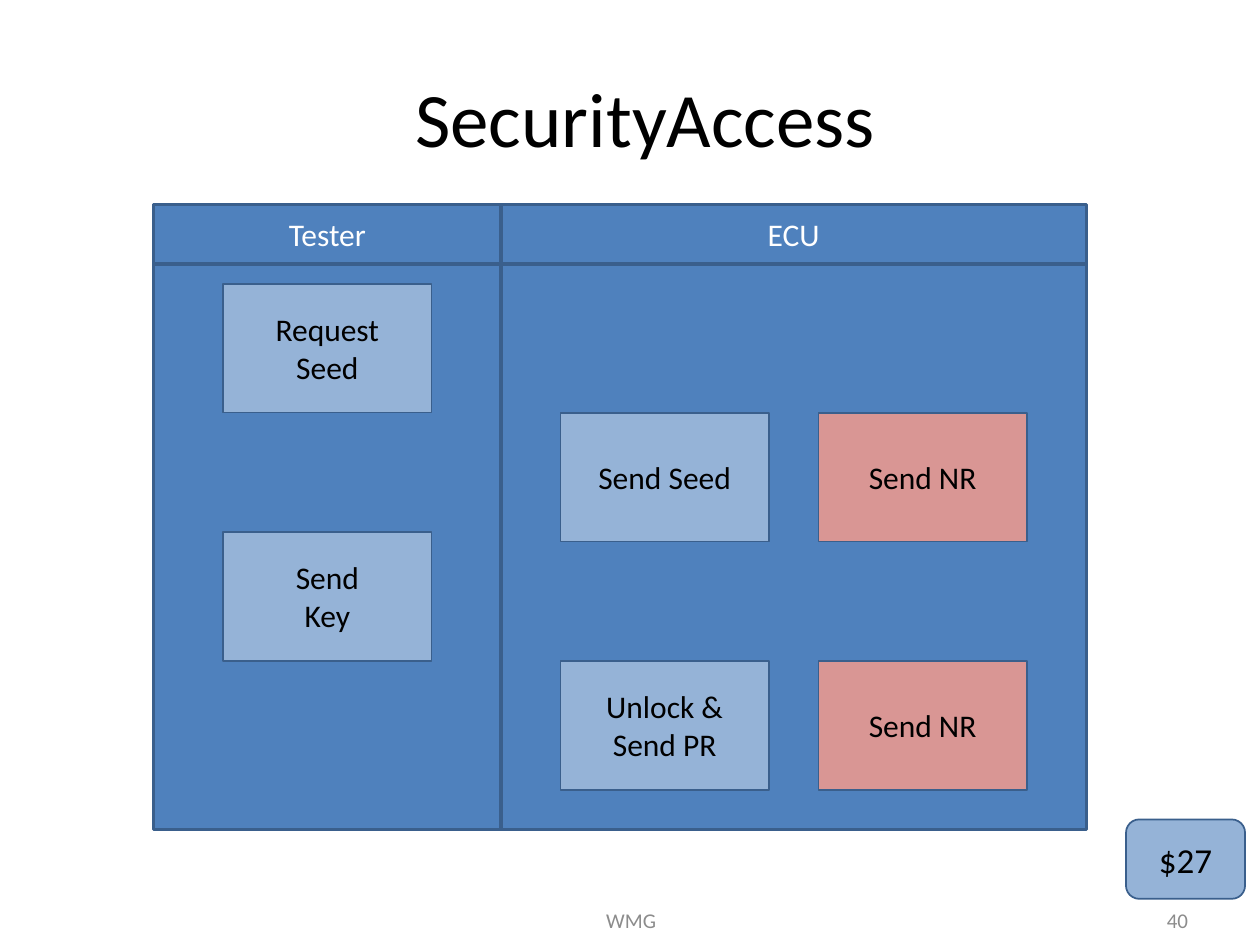
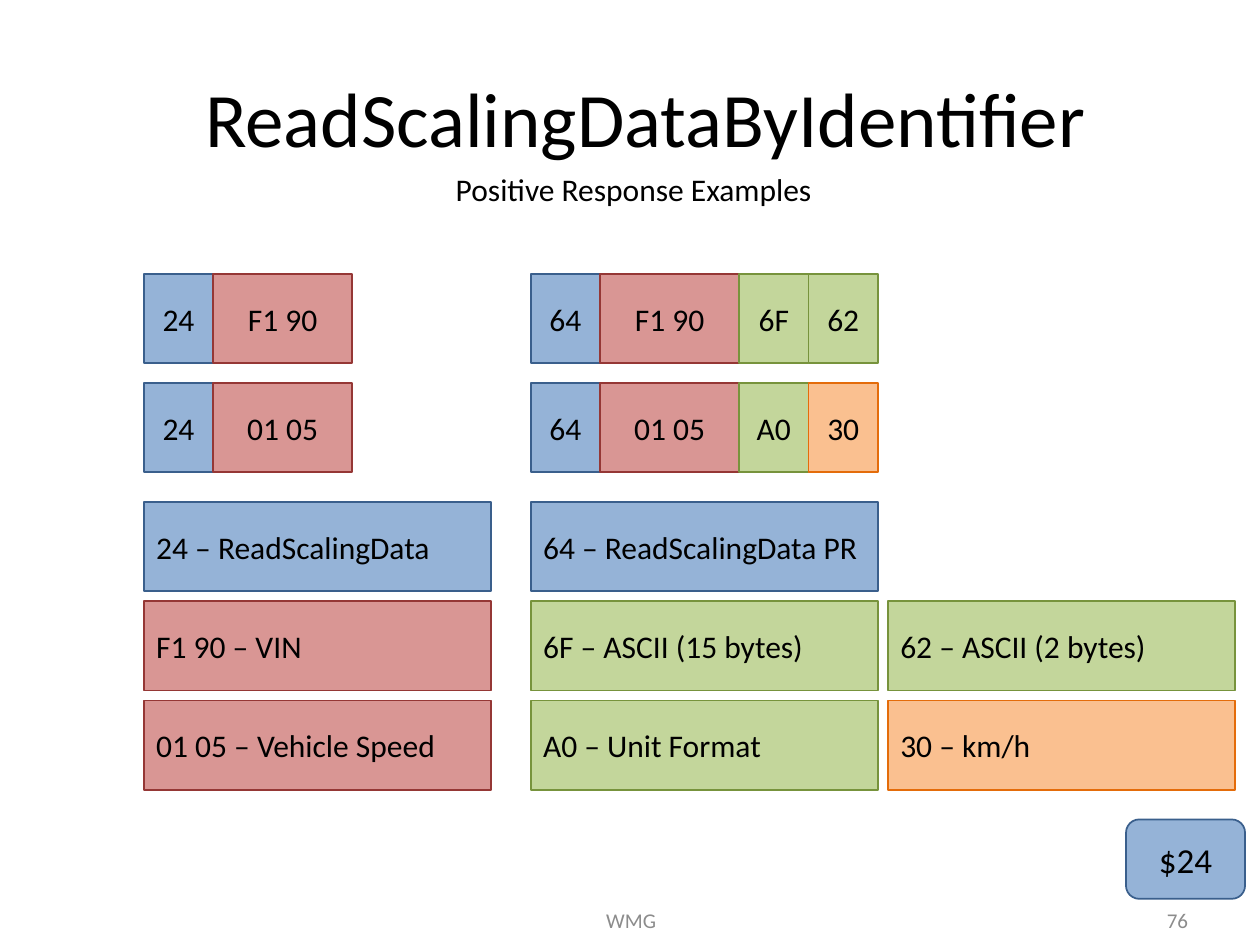
from pptx import Presentation
from pptx.dml.color import RGBColor
from pptx.enum.shapes import MSO_SHAPE
from pptx.enum.text import MSO_ANCHOR, PP_ALIGN
from pptx.util import Cm, Pt

RECT, ROUNDED = MSO_SHAPE.RECTANGLE, MSO_SHAPE.ROUNDED_RECTANGLE
LEFT, CENTER, RIGHT = PP_ALIGN.LEFT, PP_ALIGN.CENTER, PP_ALIGN.RIGHT
MIDDLE = MSO_ANCHOR.MIDDLE
TITLE_ONLY = 5

BLACK, WHITE, GREY = "000000", "FFFFFF", "8C8C8C"
NAVY = "3A5F8C"
LANE = ("4F81BD", NAVY)
SERVICE = ("95B3D7", NAVY)
REFUSAL = ("D99694", NAVY)
IDENTIFIER = ("D99694", "953735")
SCALING = ("C3D69B", "77933C")
UNIT = ("FAC090", "E46C0A")


def rgb(value):
    return RGBColor.from_string(value)


class Deck:
    font = "Calibri"
    body_size = 18

    def __init__(self):
        self.presentation = Presentation()
        self.presentation.slide_width = Cm(25.4)
        self.presentation.slide_height = Cm(19.05)
        self.slide = None

    def set_text(self, frame, text, size=body_size, color=BLACK, align=CENTER):
        frame.vertical_anchor = MIDDLE
        paragraph = frame.paragraphs[0]
        paragraph.text = text
        paragraph.alignment = align
        paragraph.font.name = self.font
        paragraph.font.size = Pt(size)
        paragraph.font.color.rgb = rgb(color)

    def label(self, text, left, top, width, height, wrap=True, **style):
        area = self.slide.shapes.add_textbox(Cm(left), Cm(top), Cm(width), Cm(height))
        area.text_frame.word_wrap = wrap
        self.set_text(area.text_frame, text, **style)

    def box(self, text, left, top, width, height, colors,
            kind=RECT, line_width=1, **style):
        fill, line = colors
        shape = self.slide.shapes.add_shape(kind, Cm(left), Cm(top), Cm(width), Cm(height))
        shape.shadow.inherit = False
        shape.fill.solid()
        shape.fill.fore_color.rgb = rgb(fill)
        shape.line.color.rgb = rgb(line)
        shape.line.width = Pt(line_width)
        if text:
            self.set_text(shape.text_frame, text, **style)

    def start(self, title, number, service_id):
        layout = self.presentation.slide_layouts[TITLE_ONLY]
        self.slide = self.presentation.slides.add_slide(layout)
        heading = self.slide.shapes.title
        heading.left, heading.top = Cm(1.9), Cm(0.76)
        heading.width, heading.height = Cm(22.23), Cm(3.18)
        self.set_text(heading.text_frame, title, size=44)
        self.label("WMG", 8.7, 18.03, 8.05, 1.02, size=12, color=GREY)
        self.label(number, 18.28, 18.03, 5.92, 1.02, size=12, color=GREY, align=RIGHT)
        self.box(service_id, 22.7, 16.52, 2.4, 1.6, SERVICE, kind=ROUNDED, size=20)

    def byte_row(self, left, top, fields):
        byte_width = 1.4
        for text, colors in fields:
            width = byte_width * len(text.split())
            self.box(text, left, top, width, 1.8, colors)
            left += width


def security_access(deck):
    deck.start("SecurityAccess", "40", "$27")

    lane_top, header_height = 4.12, 1.2
    for name, left, width in (("Tester", 3.1, 7), ("ECU", 10.1, 11.8)):
        deck.box(name, left, lane_top, width, header_height, LANE,
                 line_width=2, color=WHITE)
        deck.box("", left, lane_top + header_height, width, 11.4, LANE, line_width=2)

    tester, accepted, refused = 4.5, 11.3, 16.5
    step_height, first_step, round_gap = 2.6, 5.72, 5
    exchanges = (("Request\nSeed", "Send Seed"), ("Send\nKey", "Unlock &\nSend PR"))
    for index, (request, reply) in enumerate(exchanges):
        request_top = first_step + index * round_gap
        reply_top = request_top + step_height
        for text, left, top, colors in (
            (request, tester, request_top, SERVICE),
            (reply, accepted, reply_top, SERVICE),
            ("Send NR", refused, reply_top, REFUSAL),
        ):
            deck.box(text, left, top, 4.2, step_height, colors)


def read_scaling_data(deck):
    deck.start("ReadScalingDataByIdentifier", "76", "$24")
    deck.label("Positive Response Examples", 8.89, 3.3, 7.77, 1.02, wrap=False)

    columns = (2.9, 10.7, 17.9)
    examples = (
        ("F1 90", (("6F", SCALING), ("62", SCALING))),
        ("01 05", (("A0", SCALING), ("30", UNIT))),
    )
    for index, (identifier, data) in enumerate(examples):
        top = 5.52 + index * 2.2
        shared = (identifier, IDENTIFIER)
        deck.byte_row(columns[0], top, (("24", SERVICE), shared))
        deck.byte_row(columns[1], top, (("64", SERVICE), shared, *data))

    legend = (
        (("24 – ReadScalingData", SERVICE), ("64 – ReadScalingData PR", SERVICE)),
        (("F1 90 – VIN", IDENTIFIER), ("6F – ASCII (15 bytes)", SCALING),
         ("62 – ASCII (2 bytes)", SCALING)),
        (("01 05 – Vehicle Speed", IDENTIFIER), ("A0 – Unit Format", SCALING),
         ("30 – km/h", UNIT)),
    )
    for index, meanings in enumerate(legend):
        for left, (text, colors) in zip(columns, meanings):
            deck.box(text, left, 10.12 + index * 2, 7, 1.8, colors, align=LEFT)


def main():
    deck = Deck()
    security_access(deck)
    read_scaling_data(deck)
    deck.presentation.save("out.pptx")


if __name__ == "__main__":
    main()
